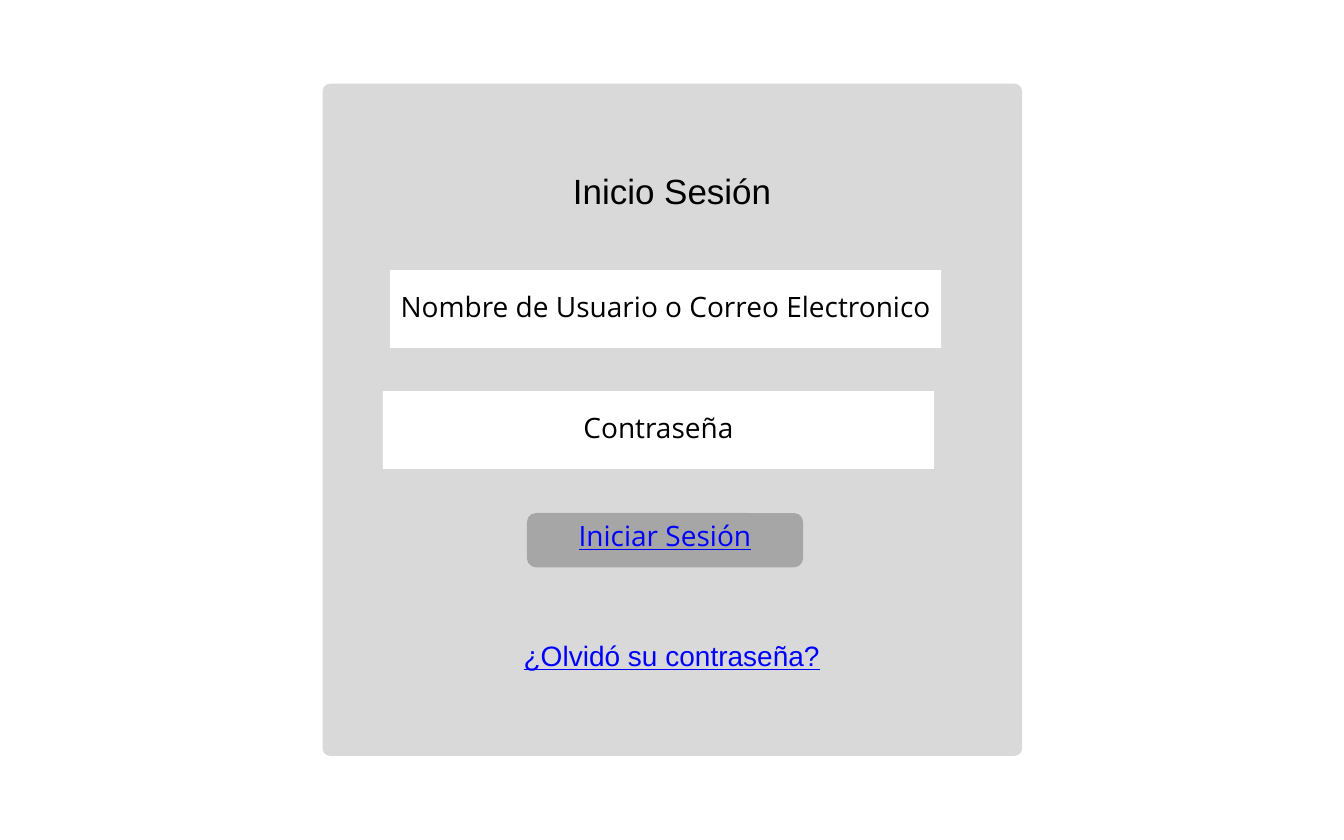
import pptx
import pptx.dml.color
import pptx.enum.shapes
import pptx.enum.text
import pptx.util

Cm = pptx.util.Cm
Pt = pptx.util.Pt
SHAPES = pptx.enum.shapes.MSO_SHAPE
ANCHOR = pptx.enum.text.MSO_ANCHOR

COLOURS = {
    "card": "D9D9D9",
    "field": "FFFFFF",
    "button": "A6A6A6",
    "text": "000000",
    "link": "0000FF",
}
HEADING = {"name": "Arial", "size": Pt(25)}
LABEL = {"name": "Open Sans", "size": Pt(20)}
BUTTON_LABEL = {**LABEL, "underline": True}
RECOVERY = {"name": "Arial", "size": Pt(20), "underline": True}
LINE_RATIO = 1.4


def set_all(target, values):
    for attribute, value in values.items():
        setattr(target, attribute, value)


def rgb(colour):
    return pptx.dml.color.RGBColor.from_string(COLOURS[colour])


def add_panel(slide, box, colour, radius=0):
    kind = SHAPES.ROUNDED_RECTANGLE if radius else SHAPES.RECTANGLE
    panel = slide.shapes.add_shape(kind, *map(Cm, box))
    if radius:
        panel.adjustments[0] = radius / min(box[2:])
    panel.shadow.inherit = False
    panel.fill.solid()
    panel.fill.fore_color.rgb = rgb(colour)
    panel.line.fill.background()


def add_caption(slide, box, wording, font, colour, inset=0, anchor=ANCHOR.TOP):
    frame = slide.shapes.add_textbox(*map(Cm, box)).text_frame
    margins = [f"margin_{side}" for side in ("left", "top", "right", "bottom")]
    set_all(frame, {
        **dict.fromkeys(margins, Cm(inset)),
        "word_wrap": True,
        "vertical_anchor": anchor,
    })
    paragraph = frame.paragraphs[0]
    set_all(paragraph, {
        "alignment": pptx.enum.text.PP_ALIGN.CENTER,
        "line_spacing": Pt(font["size"].pt * LINE_RATIO),
    })
    run = paragraph.add_run()
    run.text = wording
    set_all(run.font, font)
    run.font.color.rgb = rgb(colour)


def add_control(slide, box, wording, fill, font, colour, rise, radius=0):
    left, top, width, height = box
    add_panel(slide, box, fill, radius)
    caption_box = (left, top - rise, width, height + rise)
    add_caption(slide, caption_box, wording, font, colour, 0.15, ANCHOR.MIDDLE)


def main():
    deck = pptx.Presentation()
    set_all(deck, {"slide_width": Cm(33.87), "slide_height": Cm(21.17)})
    slide = deck.slides.add_slide(deck.slide_layouts[6])

    add_panel(slide, (8.13, 2.11, 17.63, 16.94), "card", 0.19)
    fields = [
        (9.83, 6.81, "Nombre de Usuario o Correo Electronico"),
        (9.65, 9.86, "Contraseña"),
    ]
    for left, top, wording in fields:
        add_control(slide, (left, top, 13.89, 1.96), wording,
                    "field", LABEL, "text", 0.3)
    add_control(slide, (13.28, 12.93, 6.96, 1.37), "Iniciar Sesión",
                "button", BUTTON_LABEL, "link", 0.37, 0.23)
    add_caption(slide, (10.16, 4.09, 13.55, 1.14), "Inicio Sesión",
                HEADING, "text")
    add_caption(slide, (13.16, 15.95, 7.54, 0.94), "¿Olvidó su contraseña?",
                RECOVERY, "link")

    deck.save("out.pptx")


if __name__ == "__main__":
    main()
